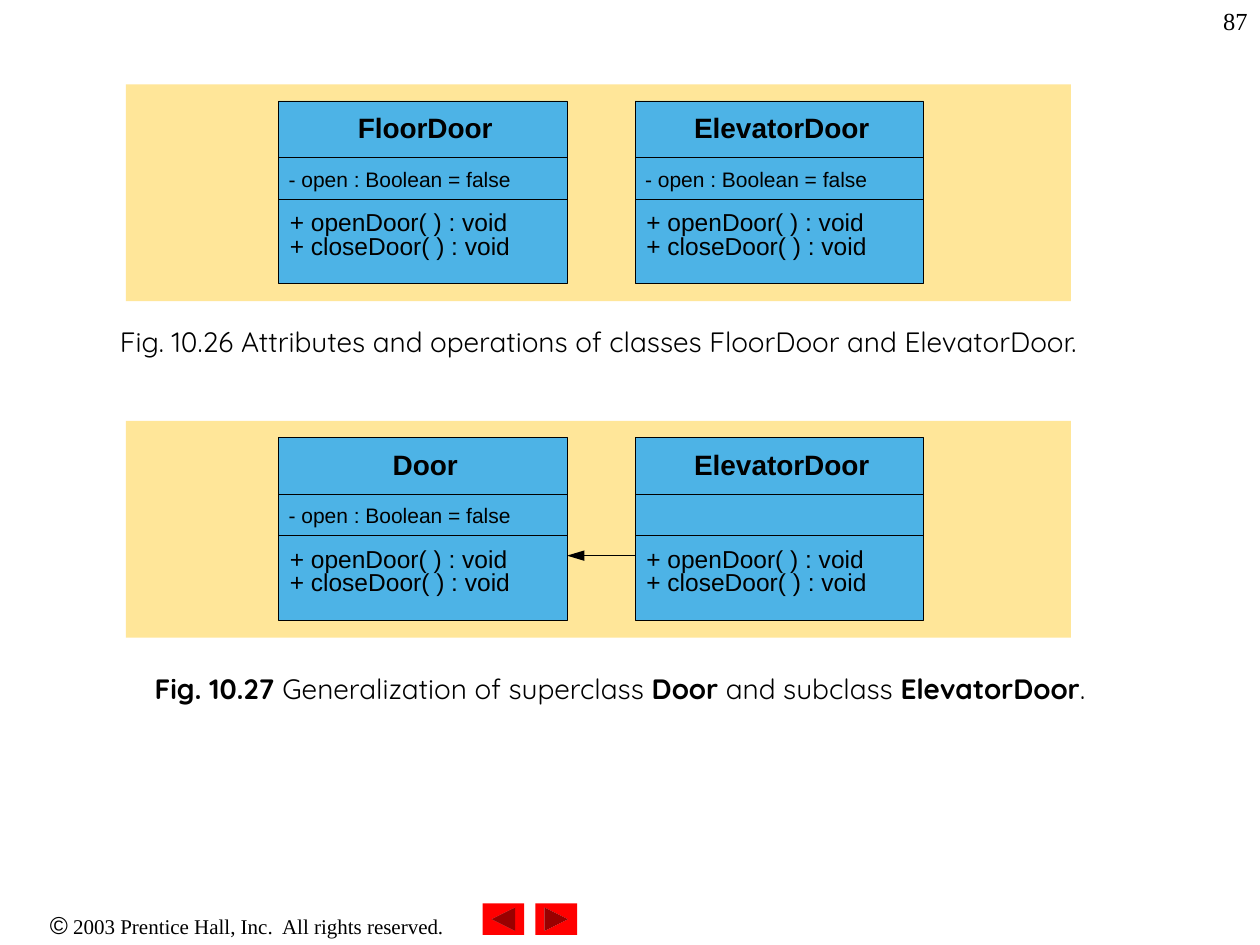
from lxml.etree import SubElement as Sub
from pptx import Presentation
from pptx.dml.color import RGBColor
from pptx.enum.shapes import MSO_CONNECTOR as Conn, MSO_SHAPE as Kind
from pptx.enum.text import MSO_ANCHOR as Anchor, MSO_AUTO_SIZE as Auto, PP_ALIGN as Align
from pptx.oxml.ns import qn
from pptx.util import Inches, Pt

COLORS = {"black": "000000", "panel": "FFE699", "class": "4DB3E6", "button": "FF0000"}
ATTRS = ["- open : Boolean = false"]
OPS = ["+ openDoor( ) : void", "+ closeDoor( ) : void"]
CLASS_W, CLASS_H = 2.29, 1.45
CLASS_X = (1.21, 4.04)


def color(name):
    return RGBColor.from_string(COLORS[name])


def style(font, size, name, bold=False):
    font.size, font.name, font.bold = Pt(size), name, bold
    font.color.rgb = color("black")


def add_rect(shapes, x, y, w, h, fill, kind=Kind.RECTANGLE):
    rect = shapes.add_shape(kind, Inches(x), Inches(y), Inches(w), Inches(h))
    rect.shadow.inherit = False
    rect.fill.solid()
    rect.fill.fore_color.rgb = color(fill)
    rect.line.fill.background()
    return rect


def add_line(shapes, x1, x2, y):
    line = shapes.add_connector(Conn.STRAIGHT, Inches(x1), Inches(y), Inches(x2), Inches(y))
    line.line.color.rgb = color("black")
    line.line.width = Pt(0.25)
    Sub(line._element.spPr, qn("a:effectLst"))
    return line


def add_box(shapes, x, y, w, h):
    box = shapes.add_textbox(Inches(x), Inches(y), Inches(w), Inches(h))
    box.text_frame.word_wrap = True
    return box.text_frame


def add_label(shapes, x, y, w, h, lines, size, bold=False, align=Align.LEFT):
    """Place tight lines of text in a box without margins."""
    frame = add_box(shapes, x, y, w, h)
    frame.margin_left = frame.margin_right = frame.margin_top = frame.margin_bottom = 0
    frame.text = "\n".join(lines)
    for para in frame.paragraphs:
        para.alignment, para.line_spacing = align, 0.8
        style(para.font, size, "Arial", bold)


def add_class(shapes, x, y, name, attrs):
    rect = add_rect(shapes, x, y, CLASS_W, CLASS_H, "class")
    rect.line.color.rgb = color("black")
    rect.line.width = Pt(0.25)
    for drop in (0.45, 0.78):
        add_line(shapes, x, x + CLASS_W, y + drop)
    add_label(shapes, x + 0.04, y + 0.13, 2.25, 0.32, [name], 16, True, Align.CENTER)
    if attrs:
        add_label(shapes, x + 0.08, y + 0.56, 2.21, 0.28, attrs, 12)
    add_label(shapes, x + 0.09, y + 0.89, 2.2, 0.56, OPS, 14)


def add_panel(slide, x, y, classes):
    shapes = slide.shapes.add_group_shape().shapes
    add_rect(shapes, x, y, 7.5, 1.72, "panel")
    for dx, (name, attrs) in zip(CLASS_X, classes):
        add_class(shapes, x + dx, y + 0.13, name, attrs)
    return shapes


def add_arrow(shapes, x, y):
    """Point from the right class of a panel to the left one."""
    arrow = add_line(shapes, x + CLASS_X[0] + CLASS_W, x + CLASS_X[1], y + 1.07)
    Sub(arrow.line._get_or_add_ln(), qn("a:headEnd"), type="triangle", w="med", len="lg")


def add_title(slide, x, y, text):
    title = slide.shapes.title
    title.left, title.top = Inches(x), Inches(y)
    title.width, title.height = Inches(8.5), Inches(0.42)
    frame = title.text_frame
    frame.text = text
    frame.word_wrap, frame.auto_size = True, Auto.NONE
    frame.vertical_anchor = Anchor.MIDDLE
    para = frame.paragraphs[0]
    para.alignment = Align.CENTER
    style(para.font, 16, "Quicksand")


def add_caption(slide, x, y, parts):
    """Write a centred caption whose parts are bold and plain in turn."""
    frame = add_box(slide.shapes, x, y, 8.5, 0.42)
    frame.vertical_anchor = Anchor.MIDDLE
    para = frame.paragraphs[0]
    para.alignment = Align.CENTER
    for i, text in enumerate(parts):
        run = para.add_run()
        run.text = text
        style(run.font, 16, "Quicksand", i % 2 == 0)


def add_number(slide, x, y, text):
    frame = add_box(slide.shapes, x, y, 2.08, 0.5)
    frame.text = text
    para = frame.paragraphs[0]
    para.alignment = Align.RIGHT
    style(para.font, 14, "Times New Roman")


def add_footer(slide, x, y):
    para = add_box(slide.shapes, x, y, 3.92, 0.34).paragraphs[0]
    para.alignment = Align.CENTER
    for text, size, font in (
        ("©", 14, "Arial"),
        (" 2003 Prentice Hall, Inc.  All rights reserved.", 12, "Times New Roman"),
    ):
        run = para.add_run()
        run.text = text
        style(run.font, size, font)
    for dx, turn in ((3.83, 180), (4.25, 0)):
        button = add_rect(slide.shapes, x + dx, y, 0.33, 0.25, "button",
                          Kind.ACTION_BUTTON_FORWARD_OR_NEXT)
        button.rotation = turn


def main():
    prs = Presentation()
    prs.slide_width, prs.slide_height = Inches(10), Inches(7.5)
    slide = prs.slides.add_slide(prs.slide_layouts[5])
    add_footer(slide, 0, 7.17)
    add_title(slide, 0.5, 2.5,
              "Fig. 10.26 Attributes and operations of classes FloorDoor and ElevatorDoor.")
    add_panel(slide, 1, 0.67, [("FloorDoor", ATTRS), ("ElevatorDoor", ATTRS)])
    add_caption(slide, 0.67, 5.25, ["Fig. 10.27 ", "Generalization of superclass ", "Door",
                                    " and subclass ", "ElevatorDoor", "."])
    lower = add_panel(slide, 1, 3.34, [("Door", ATTRS), ("ElevatorDoor", [])])
    add_arrow(lower, 1, 3.34)
    add_number(slide, 7.92, 0, "87")
    prs.save("out.pptx")


if __name__ == "__main__":
    main()
